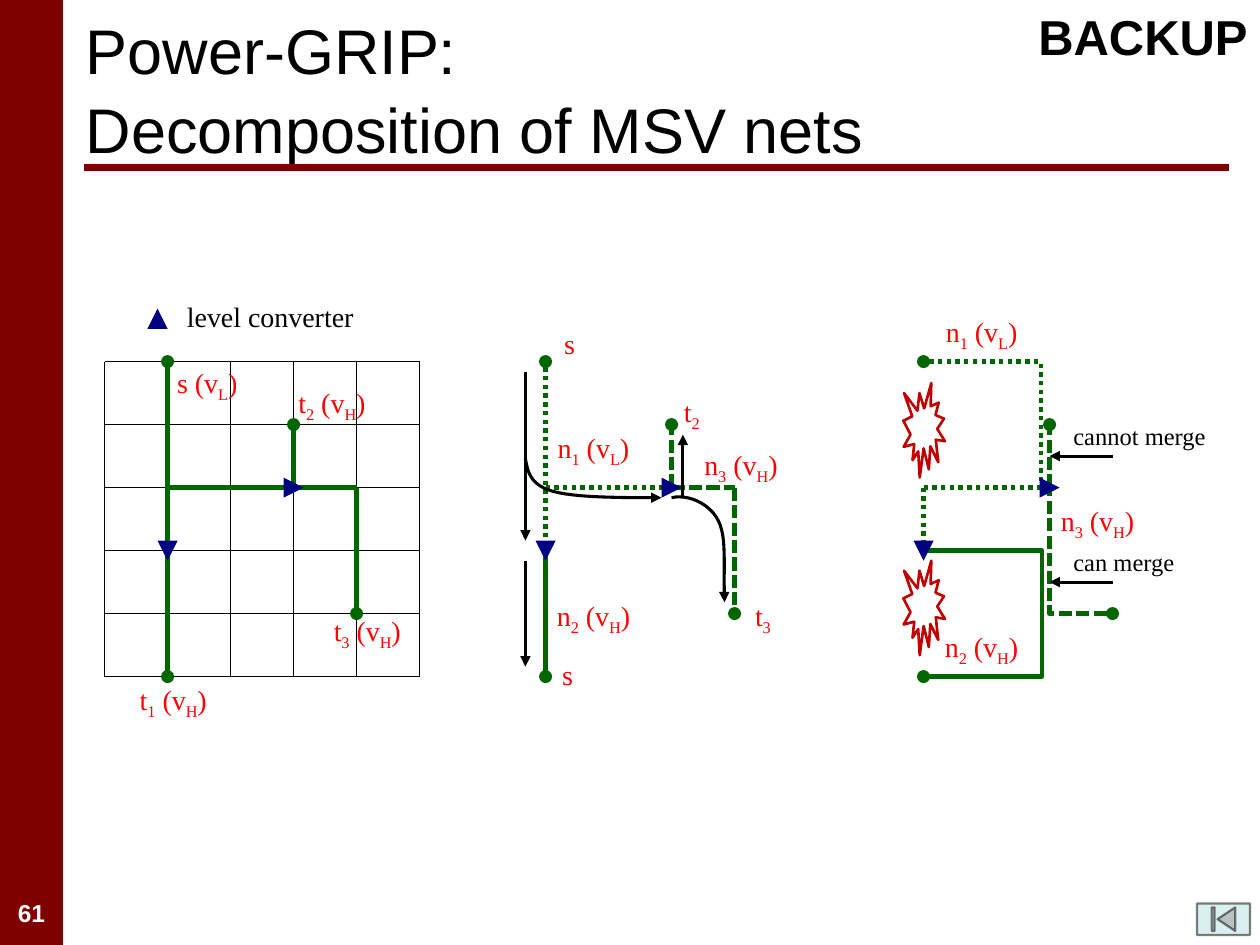
from lxml import etree
from pptx import Presentation
from pptx.dml.color import RGBColor
from pptx.enum.dml import MSO_LINE
from pptx.enum.shapes import MSO_CONNECTOR, MSO_SHAPE
from pptx.enum.text import MSO_ANCHOR, MSO_AUTO_SIZE, PP_ALIGN
from pptx.oxml.ns import qn
from pptx.util import Inches, Pt

STRAIGHT = MSO_CONNECTOR.STRAIGHT
RECTANGLE, TRIANGLE = MSO_SHAPE.RECTANGLE, MSO_SHAPE.ISOSCELES_TRIANGLE
BURST, BUTTON = MSO_SHAPE.EXPLOSION1, MSO_SHAPE.ACTION_BUTTON_BEGINNING
SOLID, DOTS, DASHES = MSO_LINE.SOLID, MSO_LINE.ROUND_DOT, MSO_LINE.SQUARE_DOT
LEFT, CENTER, RIGHT = PP_ALIGN.LEFT, PP_ALIGN.CENTER, PP_ALIGN.RIGHT
SANS, SERIF = "Arial", "Times New Roman"
MAROON, GREEN, NAVY, RED = "800000", "006600", "000080", "FF0000"
BLACK, WHITE, CRIMSON, PALE = "000000", "FFFFFF", "C00000", "BBE0E3"
CELL, GRID_LEFT, GRID_TOP, GRID_CELLS = 0.5, 0.83, 2.87, 5
LEGEND_AT = (0.84, -0.68)
MAP, SPLIT, MERGE = 1, 7, 13


def color(value):
    """Turn a hex string into a colour."""
    return RGBColor.from_string(value)


def spot(column, row):
    """Turn a grid position into slide lengths."""
    return Inches(GRID_LEFT + column * CELL), Inches(GRID_TOP + row * CELL)


def style_line(shape, paint, width, dash=SOLID, head=None, tail=None):
    """Set the stroke of a shape and its line ends."""
    shape.line.color.rgb = color(paint)
    shape.line.width = Pt(width)
    shape.line.dash_style = dash
    stroke = shape.line._get_or_add_ln()
    for tag, kind in (("a:headEnd", head), ("a:tailEnd", tail)):
        if kind:
            etree.SubElement(stroke, qn(tag), type=kind)


def add_line(page, start, end, paint, width, **ends):
    """Draw a straight connector between two slide positions."""
    line = page.shapes.add_connector(STRAIGHT, *start, *end)
    style_line(line, paint, width, **ends)
    etree.SubElement(line._element.spPr, qn("a:effectLst"))


def add_route(page, points, paint=GREEN, width=2.5, **ends):
    """Draw a route through grid points."""
    places = [spot(*point) for point in points]
    if len(places) == 2:
        add_line(page, *places, paint, width, **ends)
        return
    builder = page.shapes.build_freeform(*places[0])
    builder.add_line_segments(places[1:], close=False)
    route = builder.convert_to_shape()
    route.fill.background()
    route.shadow.inherit = False
    style_line(route, paint, width, **ends)


def add_arrow(page, points):
    """Draw a black arrow through grid points."""
    add_route(page, points, BLACK, 1.75, tail="triangle")


def curve(points, steps=12):
    """Sample a chain of cubic curves that share their end points."""
    samples = [points[0]]
    for first in range(0, len(points) - 1, 3):
        for step in range(1, steps + 1):
            t = step / steps
            weights = ((1 - t) ** 3, 3 * t * (1 - t) ** 2, 3 * t * t * (1 - t), t ** 3)
            pairs = list(zip(weights, points[first:first + 4]))
            samples.append(tuple(sum(w * p[axis] for w, p in pairs) for axis in (0, 1)))
    return samples


def add_shape(page, kind, place, size, fill=None):
    """Add a preset shape without outline or shadow."""
    shape = page.shapes.add_shape(kind, *place, *size)
    shape.shadow.inherit = False
    shape.line.fill.background()
    if fill:
        shape.fill.solid()
        shape.fill.fore_color.rgb = color(fill)
    else:
        shape.fill.background()
    return shape


def add_converter(page, column, row, turn):
    """Add a level converter centred on a grid point."""
    half = 0.16
    size = Inches(2 * half * CELL)
    marker = add_shape(page, TRIANGLE, spot(column - half, row - half), (size, size), NAVY)
    marker.rotation = turn


def add_burst(page, row):
    """Add a conflict mark beside the merged nets."""
    burst = add_shape(page, BURST, spot(MERGE - 0.32, row), (Inches(0.33), Inches(0.75)))
    style_line(burst, CRIMSON, 1.5)


def add_span(para, text, font, size, paint, bold=False):
    """Add one formatted run."""
    span = para.add_run()
    span.text = text
    span.font.name, span.font.size, span.font.bold = font, Pt(size), bold
    span.font.color.rgb = color(paint)
    return span


def add_box(page, left, top, width, height, align, wrap=True):
    """Add a text box and return its paragraph."""
    box = page.shapes.add_textbox(left, top, width, height)
    box.text_frame.word_wrap = wrap
    para = box.text_frame.paragraphs[0]
    para.alignment = align
    return para


def add_label(page, text, column, row, width=0.92, size=16, paint=RED, align=CENTER):
    """Add a label centred on a grid point; an underscore lowers the next letter."""
    height = 0.37 if size == 16 else 0.34
    place = spot(column - width / 2 / CELL, row - height / 2 / CELL)
    para = add_box(page, *place, Inches(width), Inches(height), align, wrap=False)
    start, *pieces = text.split("_")
    add_span(para, start, SERIF, size, paint)
    for piece in pieces:
        low = add_span(para, piece[0], SERIF, size, paint)
        low._r.get_or_add_rPr().set("baseline", "-25000")
        if piece[1:]:
            add_span(para, piece[1:], SERIF, size, paint)


def add_frame(page):
    """Add the side band, title, rule, page number, tag and button."""
    add_shape(page, RECTANGLE, (0, 0), (Inches(0.5), Inches(7.5)), MAROON)
    rule = Inches(1.33)
    add_line(page, (Inches(0.67), rule), (Inches(9.75), rule), MAROON, 4)
    number = add_box(page, 0, Inches(7.08), Inches(0.5), Inches(0.33), CENTER)
    add_span(number, "61", SANS, 14, WHITE, bold=True)
    title = page.shapes.title
    title.left, title.top = Inches(0.58), Inches(0.15)
    title.width, title.height = Inches(9.17), Inches(1.08)
    title.text_frame.vertical_anchor = MSO_ANCHOR.MIDDLE
    title.text_frame.auto_size = MSO_AUTO_SIZE.NONE
    para = title.text_frame.paragraphs[0]
    para.alignment, para.line_spacing = LEFT, 1.05
    add_span(para, "Power-GRIP: ", SANS, 36, BLACK)
    para.add_line_break()
    add_span(para, "Decomposition of MSV nets", SANS, 36, BLACK)
    tag = add_box(page, Inches(8), 0, Inches(2), Inches(0.57), RIGHT)
    add_span(tag, "BACKUP", SANS, 28, BLACK, bold=True)
    place, size = (Inches(9.5), Inches(7.17)), (Inches(0.42), Inches(0.25))
    button = add_shape(page, BUTTON, place, size, PALE)
    style_line(button, BLACK, 1.25)
    for paint in button._element.spPr.iter(qn("a:srgbClr")):
        etree.SubElement(paint, qn("a:alpha"), val="50000")


def add_map(page):
    """Draw the routing grid with the whole net."""
    for step in range(GRID_CELLS + 1):
        add_route(page, [(0, step), (GRID_CELLS, step)], BLACK, 1)
        add_route(page, [(step, 0), (step, GRID_CELLS)], BLACK, 1)
    add_route(page, [(MAP, 0), (MAP, 5)], head="oval", tail="oval")
    add_route(page, [(4, 2), (4, 4)], tail="oval")
    add_route(page, [(3, 2), (3, 1)], tail="oval")
    add_route(page, [(MAP, 2), (4, 2)])
    add_label(page, "level converter", 2.63, -0.71, 1.55, paint=BLACK)
    for text, column, row in (("t_1 (v_H)", 1.09, 5.37), ("s (v_L)", 1.63, 0.33),
                              ("t_2 (v_H)", 3.61, 0.65), ("t_3 (v_H)", 4.17, 4.27)):
        add_label(page, text, column, row, 0.77)
    add_converter(page, *LEGEND_AT, 0)


def add_split(page):
    """Draw the net split into three parts with signal arrows."""
    add_route(page, [(9, 2), (10, 2)], dash=DASHES)
    add_route(page, [(SPLIT, 3), (SPLIT, 5)], tail="oval")
    add_route(page, [(SPLIT, 0), (SPLIT, 3)], dash=DOTS, head="oval")
    add_route(page, [(10, 2), (10, 4)], dash=DASHES, tail="oval")
    add_route(page, [(9, 2), (9, 1)], dash=DASHES, tail="oval")
    add_route(page, [(SPLIT, 2), (9, 2)], dash=DOTS)
    for text, column, row in (("s", 7.35, 4.97), ("s", 7.38, -0.29),
                              ("t_2", 9.32, 0.79), ("t_3", 10.45, 4.03)):
        add_label(page, text, column, row, 0.37)
    for text, column, row in (("n_2 (v_H)", 7.76, 4.03), ("n_1 (v_L)", 7.76, 1.37),
                              ("n_3 (v_H)", 10.1, 1.63)):
        add_label(page, text, column, row)
    add_arrow(page, [(6.68, 3.16), (6.68, 4.84)])
    add_arrow(page, [(6.68, 0.16), (6.68, 2.84)])
    add_arrow(page, [(9.18, 2.16), (9.18, 1.16)])
    add_arrow(page, curve([(6.68, 1.54), (6.72, 1.76), (6.76, 1.96), (7.12, 2.06),
                           (7.48, 2.16), (8.2, 2.16), (8.84, 2.16)]))
    add_arrow(page, curve([(9, 2.16), (9.24, 2.1), (9.6, 2.24), (9.74, 2.52),
                           (9.88, 2.8), (9.82, 3.2), (9.84, 3.82)]))


def add_merge(page):
    """Draw the parts that can and cannot be merged."""
    add_route(page, [(MERGE, 2), (MERGE, 3)], dash=DOTS)
    add_route(page, [(16, 4), (15, 4), (15, 2)], dash=DASHES, head="oval")
    add_route(page, [(15, 2), (15, 1)], dash=DASHES, tail="oval")
    add_route(page, [(MERGE, 5), (14.88, 5), (14.88, 3), (MERGE, 3)], head="oval")
    add_route(page, [(MERGE, 2), (14.84, 2)], dash=DOTS)
    add_route(page, [(MERGE, 0), (14.86, 0), (14.86, 2)], dash=DOTS, head="oval")
    for text, column, row in (("n_2 (v_H)", 13.92, 4.53), ("n_1 (v_L)", 13.92, -0.47),
                              ("n_3 (v_H)", 15.76, 2.53)):
        add_label(page, text, column, row)
    for text, column, row, width in (("cannot merge", 16.44, 1.5, 1.26),
                                     ("can merge", 16.19, 3.5, 1.01)):
        add_burst(page, row - (1.16 if row < 2 else 0.34))
        add_arrow(page, [(16, row), (15, row)])
        add_label(page, text, column, row - 0.32, width, 14, BLACK, LEFT)


def main():
    """Build the slide and save it."""
    deck = Presentation()
    deck.slide_width, deck.slide_height = Inches(10), Inches(7.5)
    page = deck.slides.add_slide(deck.slide_layouts[5])
    add_frame(page)
    for start, draw in ((MAP, add_map), (SPLIT, add_split), (MERGE, add_merge)):
        draw(page)
        add_converter(page, start, 3, 180)
        add_converter(page, start + 2, 2, 90)
    deck.save("out.pptx")


if __name__ == "__main__":
    main()
